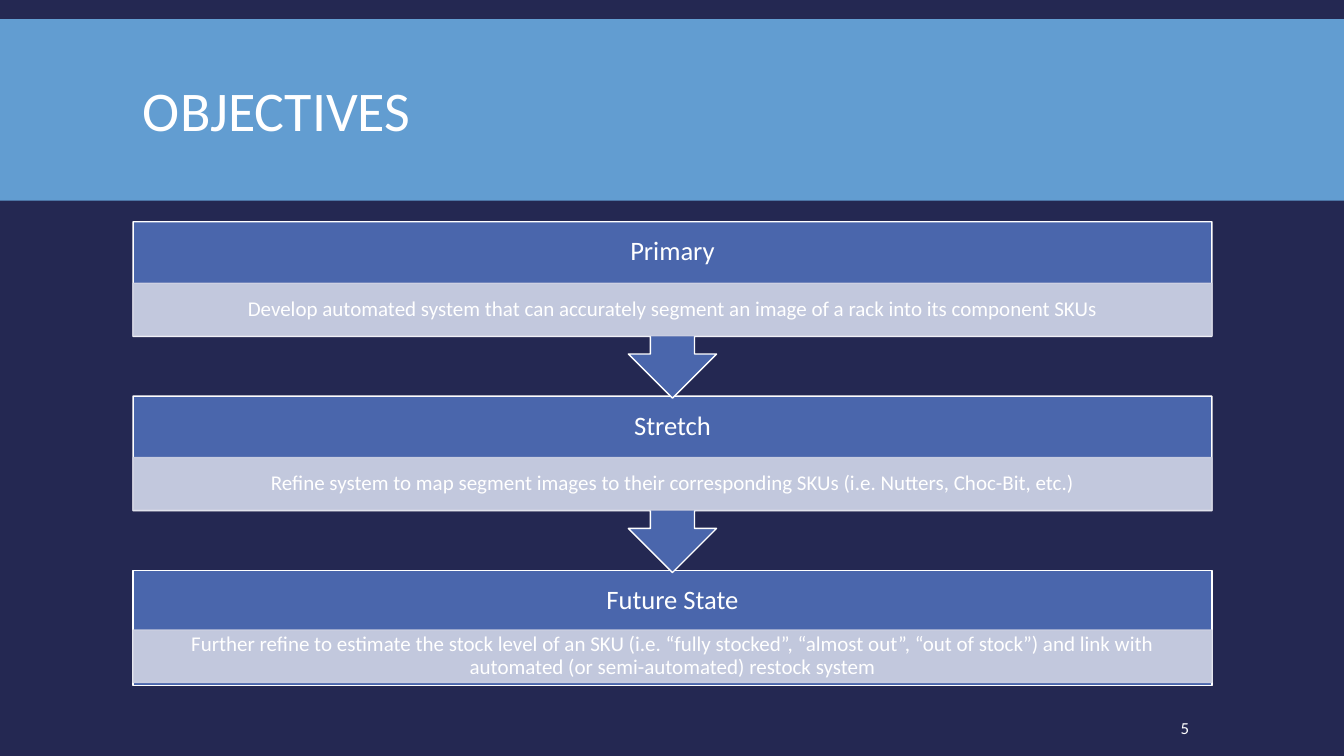
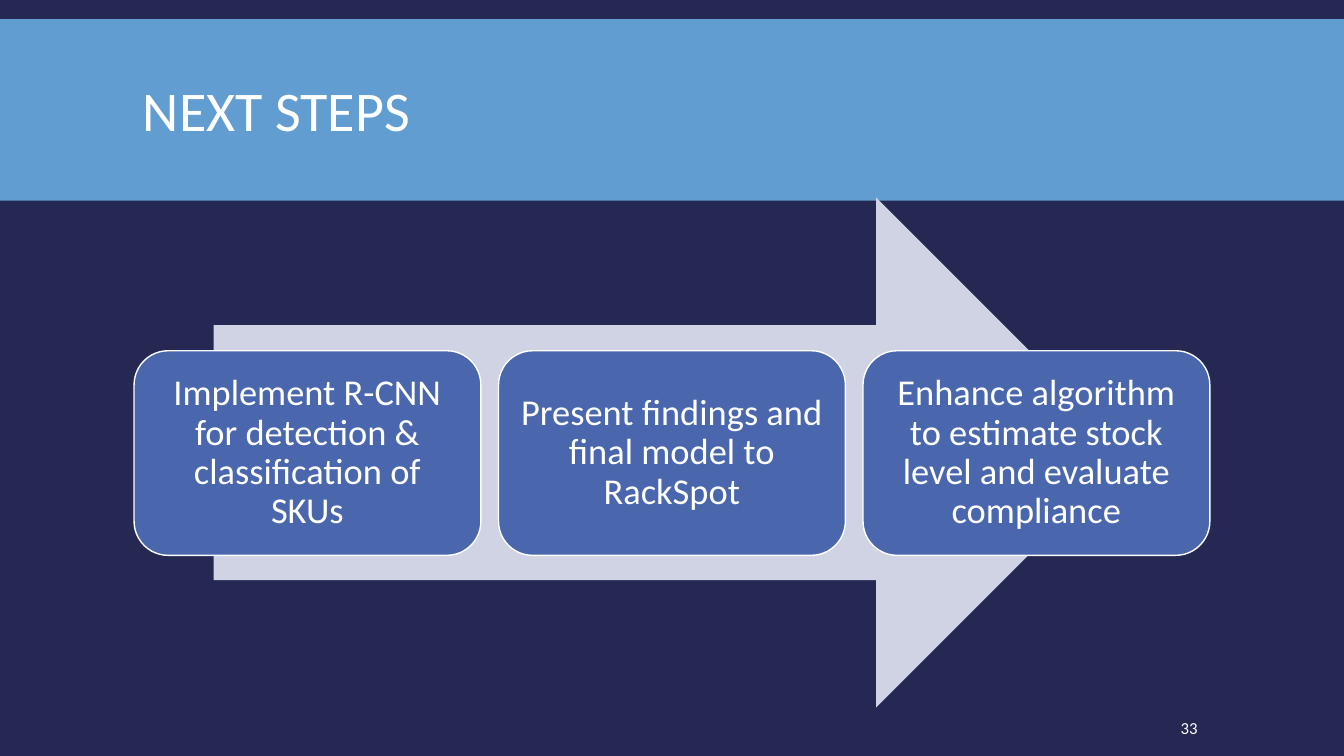
from lxml.etree import SubElement
from pptx import Presentation
from pptx.dml.color import RGBColor
from pptx.enum.shapes import MSO_SHAPE as Shape
from pptx.enum.text import MSO_ANCHOR as Anchor, PP_ALIGN as Align
from pptx.oxml.ns import qn
from pptx.util import Inches, Pt

COLORS = {
    "background": "242852",
    "band": "629DD1",
    "box": "4A66AC",
    "pale": "D0D3E3",
    "text": "FFFFFF",
}
FONT = "Calibri"
LEFT, WIDTH = 1.32, 10.7

STAGES = [
    ("Primary",
     "Develop automated system that can accurately segment an image of a rack "
     "into its component SKUs"),
    ("Stretch",
     "Refine system to map segment images to their corresponding SKUs "
     "(i.e. Nutters, Choc-Bit, etc.)"),
    ("Future State",
     "Further refine to estimate the stock level of an SKU (i.e. “fully stocked”, "
     "“almost out”, “out of stock”) and link with automated (or semi-automated) "
     "restock system"),
]
STEPS = [
    "Implement R-CNN for detection & classification of SKUs",
    "Present findings and final model to RackSpot",
    "Enhance algorithm to estimate stock level and evaluate compliance",
]


class Deck:
    def __init__(self):
        self.presentation = Presentation()
        self.presentation.slide_width = Inches(13.33)
        self.presentation.slide_height = Inches(7.5)
        self.slide = None

    def color(self, name):
        return RGBColor.from_string(COLORS[name])

    def start_slide(self, title, number):
        self.slide = self.presentation.slides.add_slide(self.presentation.slide_layouts[6])
        backdrop = self.slide.background.fill
        backdrop.solid()
        backdrop.fore_color.rgb = self.color("background")
        self.box(Shape.RECTANGLE, (0, 0.19, 13.33, 1.8), "band")
        self.label((LEFT, 0.31, WIDTH, 1.65), title, 40, (0.1, 0.05, 0.1, 0.05), 0.85)
        self.label((11.66, 7.02, 1.03, 0.4), str(number), 12, (0.05, 0.05, 0.1, 0.05))

    def box(self, kind, area, fill, line=None, opacity=None):
        shape = self.slide.shapes.add_shape(kind, *map(Inches, area))
        shape.shadow.inherit = False
        shape.fill.solid()
        shape.fill.fore_color.rgb = self.color(fill)
        if line:
            shape.line.color.rgb = self.color(line)
            shape.line.width = Pt(1)
        else:
            shape.line.fill.background()
        if opacity:
            for tint in shape.element.spPr.iter(qn("a:srgbClr")):
                SubElement(tint, qn("a:alpha")).set("val", str(opacity * 1000))
        return shape

    def label(self, area, text, size, insets, spacing=1.0):
        holder = self.slide.shapes.add_textbox(*map(Inches, area))
        self.set_text(holder, text, size, insets, Align.LEFT, spacing)

    def set_text(self, holder, text, size, insets, align=Align.CENTER, spacing=0.9):
        frame = holder.text_frame
        frame.word_wrap = True
        frame.vertical_anchor = Anchor.MIDDLE
        (frame.margin_left, frame.margin_top,
         frame.margin_right, frame.margin_bottom) = map(Inches, insets)
        frame.text = text
        paragraph = frame.paragraphs[0]
        paragraph.alignment = align
        paragraph.line_spacing = spacing
        font = paragraph.runs[0].font
        font.name = FONT
        font.size = Pt(size)
        font.color.rgb = self.color("text")

    def stage(self, top, heading, detail, is_last):
        kind, height, heading_height = (
            (Shape.RECTANGLE, 1.14, 0.59) if is_last
            else (Shape.DOWN_ARROW_CALLOUT, 1.75, 0.61))
        body = self.box(kind, (LEFT, top, WIDTH, height), "box", "text")
        self.set_text(body, heading, 19, (0.15, 0, 0.15, 0.53))
        strip = self.box(Shape.RECTANGLE, (LEFT, top + heading_height, WIDTH, 0.52),
                         "pale", "pale", opacity=90)
        self.set_text(strip, detail, 15, (0.12, 0.02, 0.12, 0.02))

    def step(self, left, width, text):
        card = self.box(Shape.ROUNDED_RECTANGLE, (left, 3.48, width, 2.03), "box", "text")
        self.set_text(card, text, 26, (0.11, 0.11, 0.11, 0.11))


def build_objectives(deck):
    deck.start_slide("OBJECTIVES", 5)
    last = len(STAGES) - 1
    for index, (heading, detail) in reversed(list(enumerate(STAGES))):
        deck.stage(2.2 + 1.73 * index, heading, detail, index == last)


def build_next_steps(deck):
    deck.start_slide("NEXT STEPS", 33)
    deck.box(Shape.RIGHT_ARROW, (2.12, 1.96, 9.1, 5.06), "pale")
    first_left, span, width = 1.33, 10.67, 3.44
    pitch = (span - width) / (len(STEPS) - 1)
    for index, text in enumerate(STEPS):
        deck.step(first_left + pitch * index, width, text)


def main():
    deck = Deck()
    build_objectives(deck)
    build_next_steps(deck)
    deck.presentation.save("out.pptx")


if __name__ == "__main__":
    main()
